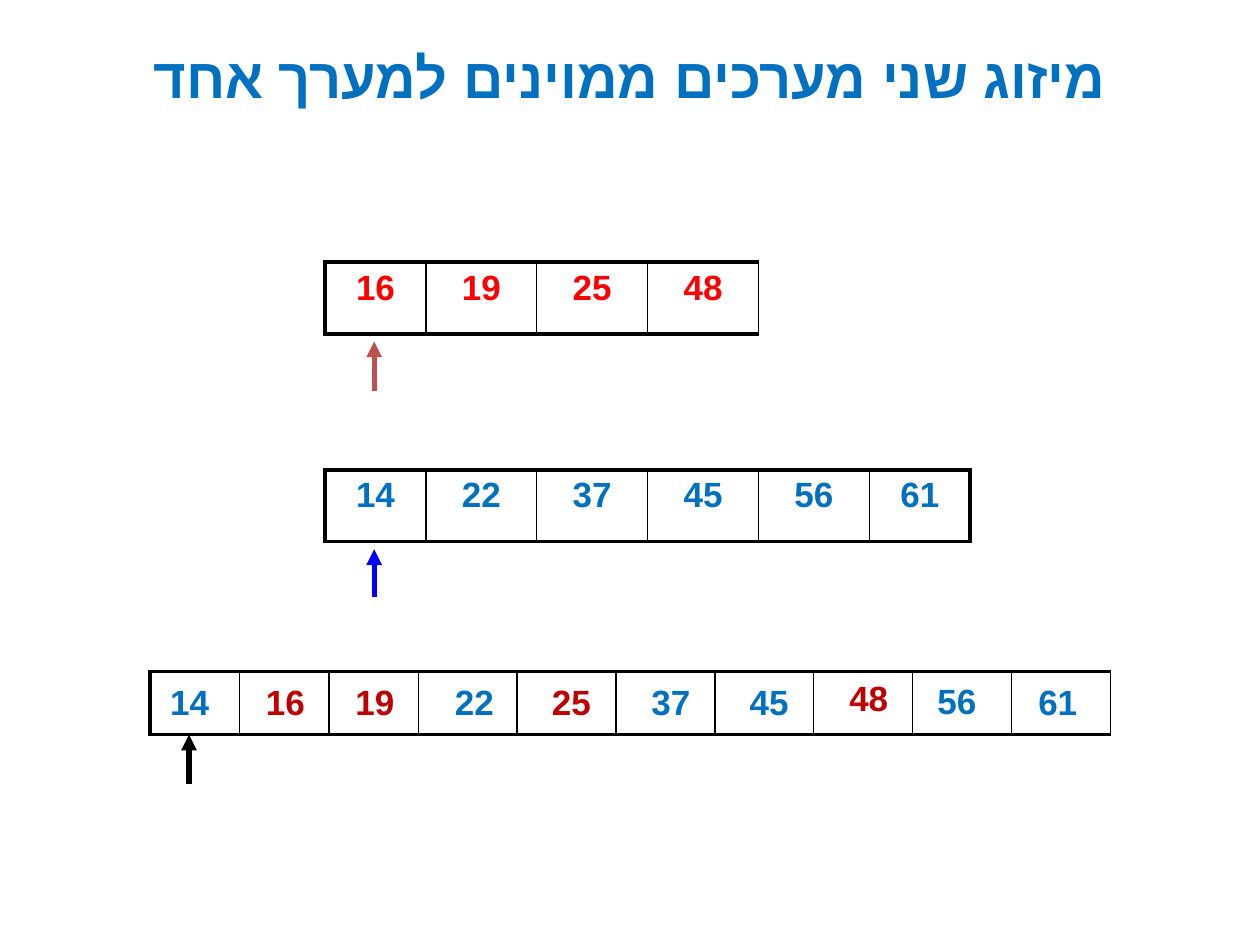
from pptx import Presentation
from pptx.dml.color import RGBColor
from pptx.enum.shapes import MSO_CONNECTOR as CONN
from pptx.enum.text import MSO_ANCHOR as ANCHOR, MSO_AUTO_SIZE as AUTO, PP_ALIGN as ALIGN
from pptx.oxml.ns import qn
from pptx.util import Inches, Pt
from lxml.etree import SubElement

COLORS = {"blue": "0070C0", "red": "FF0000", "dark_red": "C00000", "brick": "C0504D",
          "arrow_blue": "0000FF", "black": "000000", "white": "FFFFFF"}
FONT = "Arial"
THIN, THICK = 1, 2.25


def rgb(name):
    """Return the named colour."""
    return RGBColor.from_string(COLORS[name])


def style_text(tf, text, size, color):
    """Write one centred, bold, right-to-left paragraph."""
    p = tf.paragraphs[0]
    r = p.add_run()
    r.text = text
    p.alignment = ALIGN.CENTER
    p._p.get_or_add_pPr().set("rtl", "1")
    for font in (p.font, r.font):
        font.name, font.size, font.bold = FONT, Pt(size), True
        font.color.rgb = rgb(color)
    SubElement(r._r.get_or_add_rPr(), qn("a:cs")).set("typeface", FONT)


def add_title(s, text):
    """Fill and place the title placeholder."""
    title = s.shapes.title
    title.left, title.top = Inches(0), Inches(0.2)
    title.width, title.height = Inches(10), Inches(0.81)
    title.text_frame.vertical_anchor = ANCHOR.MIDDLE
    style_text(title.text_frame, text, 32, "blue")


def set_borders(cell, left, right):
    """Draw thick horizontal edges and the given vertical ones."""
    tcPr = cell._tc.get_or_add_tcPr()
    sides = (("lnL", left), ("lnR", right), ("lnT", THICK), ("lnB", THICK))
    for i, (side, width) in enumerate(sides):
        ln = SubElement(tcPr, qn("a:" + side), w=str(Pt(width)))
        fill = SubElement(ln, qn("a:solidFill"))
        SubElement(fill, qn("a:srgbClr"), val=COLORS["black"])
        tcPr.insert(i, ln)


def add_array(s, left, top, height, widths, values=(), color="black", right_edge=THIN):
    """Add a one-row table, with a number in each cell if values are given."""
    frame = s.shapes.add_table(1, len(widths), Inches(left), Inches(top),
                               Inches(sum(widths)), Inches(height))
    table = frame.table
    table.first_row = table.horz_banding = False
    table.rows[0].height = Inches(height)
    last = len(widths) - 1
    for i, width in enumerate(widths):
        table.columns[i].width = Inches(width)
        cell = table.cell(0, i)
        cell.fill.solid()
        cell.fill.fore_color.rgb = rgb("white")
        set_borders(cell, THIN if i else THICK, right_edge if i == last else THIN)
        if values:
            style_text(cell.text_frame, str(values[i]), 20, color)


def add_number(s, left, top, value, color):
    """Add a number in its own text box."""
    tf = s.shapes.add_textbox(Inches(left), Inches(top), Inches(0.63), Inches(0.43)).text_frame
    tf.word_wrap = True
    tf.auto_size = AUTO.SHAPE_TO_FIT_TEXT
    style_text(tf, str(value), 20, color)


def add_pointer(s, x, top, bottom, color):
    """Add an arrow that points up at an array cell."""
    line = s.shapes.add_connector(CONN.STRAIGHT, Inches(x), Inches(top), Inches(x), Inches(bottom))
    line.line.color.rgb = rgb(color)
    line.line.width = Pt(3)
    SubElement(line.line._get_or_add_ln(), qn("a:headEnd"), type="triangle")
    SubElement(line._element.spPr, qn("a:effectLst"))


def main():
    """Build the slide."""
    prs = Presentation()
    prs.slide_width, prs.slide_height = Inches(10), Inches(7.5)
    s = prs.slides.add_slide(prs.slide_layouts[5])
    add_title(s, "מיזוג שני מערכים ממוינים למערך אחד")

    first, second = [16, 19, 25, 48], [14, 22, 37, 45, 56, 61]
    add_array(s, 1.19, 5.33, 0.5, [0.71] * 3 + [0.785] * 7)
    add_array(s, 2.58, 2.08, 0.57, [0.8] + [0.88] * 3, first, "red")
    add_array(s, 2.58, 3.73, 0.57, [0.8] + [0.88] * 4 + [0.8], second, "blue", THICK)
    add_pointer(s, 2.97, 2.71, 3.1, "brick")
    add_pointer(s, 2.97, 4.36, 4.74, "arrow_blue")

    lefts = [1.19, 1.95, 2.66, 3.45, 4.22, 5.01, 5.79, 6.58, 7.28, 8.08]
    tops = {48: 5.32, 56: 5.34}
    for left, value in zip(lefts, sorted(first + second)):
        add_number(s, left, tops.get(value, 5.35), value, "dark_red" if value in first else "blue")
    add_pointer(s, 1.5, 5.83, 6.22, "black")
    prs.save("out.pptx")


main()
